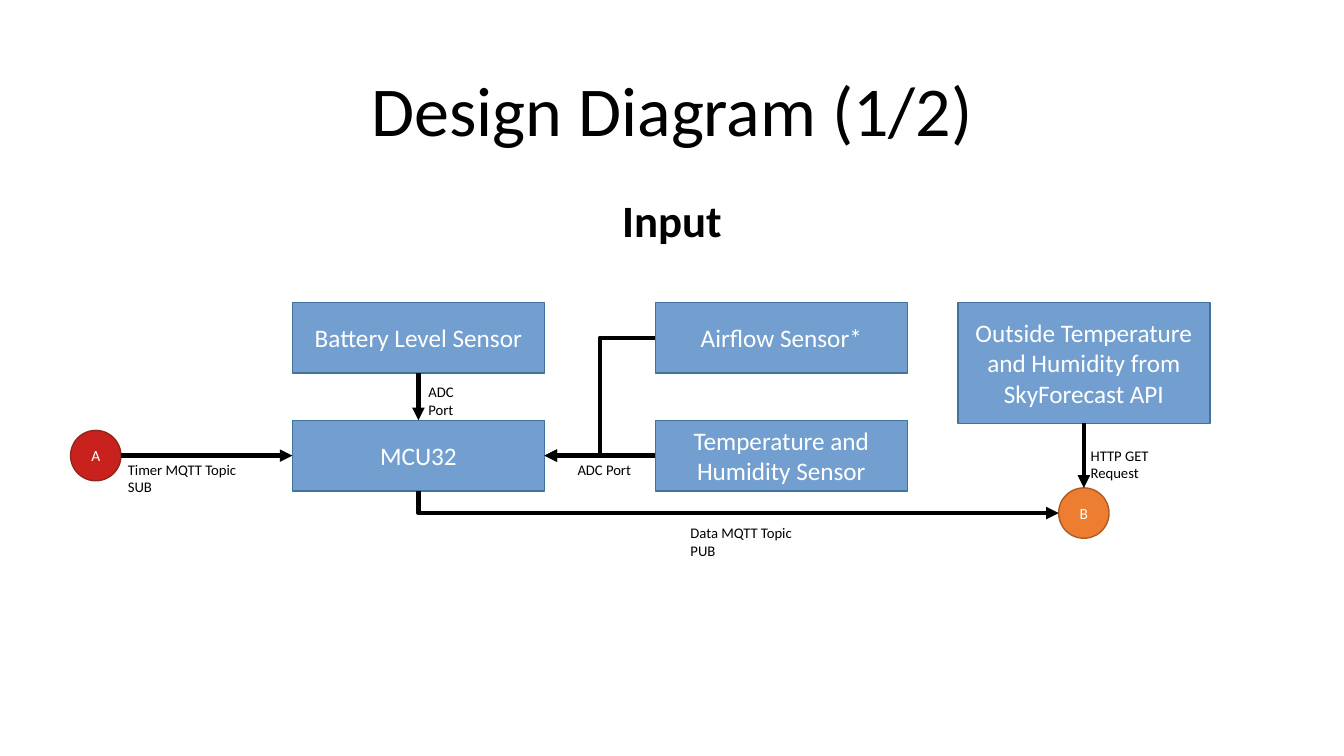
from pptx import Presentation
from pptx.dml.color import RGBColor
from pptx.enum.shapes import MSO_CONNECTOR as CONN, MSO_SHAPE as SHAPE
from pptx.enum.text import MSO_ANCHOR as ANCHOR, PP_ALIGN as ALIGN
from pptx.oxml.ns import qn
from pptx.util import Inches, Pt
from lxml import etree

BLACK = RGBColor(0x00, 0x00, 0x00)
WHITE = RGBColor(0xFF, 0xFF, 0xFF)
BLUE = RGBColor(0x72, 0x9F, 0xCF)
DARK_BLUE = RGBColor(0x43, 0x72, 0x9D)
RED = RGBColor(0xC9, 0x21, 0x1E)
DARK_RED = RGBColor(0x8D, 0x28, 0x1E)
ORANGE = RGBColor(0xED, 0x7D, 0x31)
DARK_ORANGE = RGBColor(0xAF, 0x5C, 0x24)

TOP, LEFT, BOTTOM, RIGHT = range(4)
BOX_W, BOX_H, NODE_D = 2.5, 0.7, 0.5
COL_1, COL_2, COL_3 = 2.9, 6.5, 9.5
ROW_1, ROW_2 = 3, 4.17
MID_2 = ROW_2 + BOX_H / 2
NODE_A_X, NODE_B_X, NODE_B_Y = 0.7, 10.5, 4.84


def write(tf, lines, size, color, align=ALIGN.CENTER, bold=False):
    for i, line in enumerate(lines):
        p = tf.add_paragraph() if i else tf.paragraphs[0]
        p.alignment = align
        r = p.add_run()
        r.text = line
        r.font.name = "Calibri"
        r.font.size = Pt(size)
        r.font.bold = bold
        r.font.color.rgb = color


def add_title(s, text):
    title = s.shapes.title
    title.left, title.top = Inches(0.92), Inches(0.4)
    title.width, title.height = Inches(11.5), Inches(1.45)
    tf = title.text_frame
    tf.margin_left = tf.margin_right = tf.margin_top = tf.margin_bottom = 0
    tf.vertical_anchor = ANCHOR.MIDDLE
    write(tf, [text], 50, BLACK)
    tf.paragraphs[0].line_spacing = 0.9


def add_label(s, text, x, y, w, h=0.27, size=10.5, align=ALIGN.LEFT,
              bold=False, wrap=False):
    sp = s.shapes.add_textbox(Inches(x), Inches(y), Inches(w), Inches(h))
    sp.text_frame.word_wrap = wrap
    write(sp.text_frame, [text], size, BLACK, align, bold)


def add_filled(s, kind, lines, x, y, w, h, fill, border, size):
    sp = s.shapes.add_shape(kind, Inches(x), Inches(y), Inches(w), Inches(h))
    sp.shadow.inherit = False
    sp.fill.solid()
    sp.fill.fore_color.rgb = fill
    sp.line.color.rgb = border
    sp.line.width = Pt(1)
    sp.text_frame.word_wrap = True
    sp.text_frame.vertical_anchor = ANCHOR.MIDDLE
    write(sp.text_frame, lines, size, WHITE)
    return sp


def add_box(s, lines, x, y, h=BOX_H):
    return add_filled(s, SHAPE.FLOWCHART_PROCESS, lines, x, y, BOX_W, h,
                      BLUE, DARK_BLUE, 18)


def add_node(s, letter, x, y, fill, border):
    return add_filled(s, SHAPE.OVAL, [letter], x, y, NODE_D, NODE_D,
                      fill, border, 11)


def add_arrow(s, start, end, kind=CONN.STRAIGHT):
    """Each end is either a (shape, site) pair or an (x, y) point in inches."""
    joined = [not isinstance(e[0], (int, float)) for e in (start, end)]
    points = [(0, 0) if j else e for j, e in zip(joined, (start, end))]
    c = s.shapes.add_connector(kind, *[Inches(v) for pt in points for v in pt])
    if joined[0]:
        c.begin_connect(*start)
    if joined[1]:
        c.end_connect(*end)
    c.line.color.rgb = BLACK
    c.line.width = Pt(3)
    etree.SubElement(c.line._get_or_add_ln(), qn("a:tailEnd"), type="triangle")
    etree.SubElement(c._element.spPr, qn("a:effectLst"))
    return c


def make_down_then_right(c):
    """Turn an elbow connector into a single bend that leaves downwards."""
    w, h = c.width, c.height
    c.left, c.top = c.left + (w - h) // 2, c.top + (h - w) // 2
    c.width, c.height = h, w
    xfrm = c._element.spPr.find(qn("a:xfrm"))
    xfrm.set("rot", "16200000")
    xfrm.set("flipH", "1")
    c._element.spPr.find(qn("a:prstGeom")).set("prst", "bentConnector2")


def main():
    prs = Presentation()
    prs.slide_width, prs.slide_height = Inches(13.33), Inches(7.5)
    s = prs.slides.add_slide(prs.slide_layouts[5])

    add_title(s, "Design Diagram (1/2)")
    add_label(s, "Input", 6.07, 1.86, 1.19, 0.63, 32, ALIGN.CENTER, True)

    battery = add_box(s, ["Battery Level Sensor"], COL_1, ROW_1)
    controller = add_box(s, ["MCU32"], COL_1, ROW_2)
    airflow = add_box(s, ["Airflow Sensor*"], COL_2, ROW_1)
    climate = add_box(s, ["Temperature and Humidity Sensor"], COL_2, ROW_2)
    weather = add_box(s, ["Outside Temperature",
                          "and Humidity from SkyForecast API"],
                      COL_3, ROW_1, 1.2)
    add_node(s, "A", NODE_A_X, MID_2 - NODE_D / 2, RED, DARK_RED)
    add_node(s, "B", NODE_B_X, NODE_B_Y, ORANGE, DARK_ORANGE)

    add_arrow(s, (NODE_A_X + NODE_D, MID_2), (controller, LEFT))
    add_arrow(s, (battery, BOTTOM), (controller, TOP))
    add_arrow(s, (airflow, LEFT), (controller, RIGHT), CONN.ELBOW)
    add_arrow(s, (climate, LEFT), (controller, RIGHT))
    add_arrow(s, (weather, BOTTOM), (NODE_B_X + NODE_D / 2, NODE_B_Y))
    make_down_then_right(add_arrow(s, (controller, BOTTOM),
                                   (NODE_B_X, NODE_B_Y + NODE_D / 2),
                                   CONN.ELBOW))

    add_label(s, "Timer MQTT Topic SUB", 1.17, 4.52, 1.54)
    add_label(s, "ADC Port", 4.15, 3.75, 0.65, 0.45, wrap=True)
    add_label(s, "ADC Port", 5.63, 4.52, 0.73)
    add_label(s, "HTTP GET Request", 10.72, 4.38, 1, 0.45, wrap=True)
    add_label(s, "Data MQTT Topic PUB", 6.75, 5.15, 1.48)

    prs.save("out.pptx")


if __name__ == "__main__":
    main()
